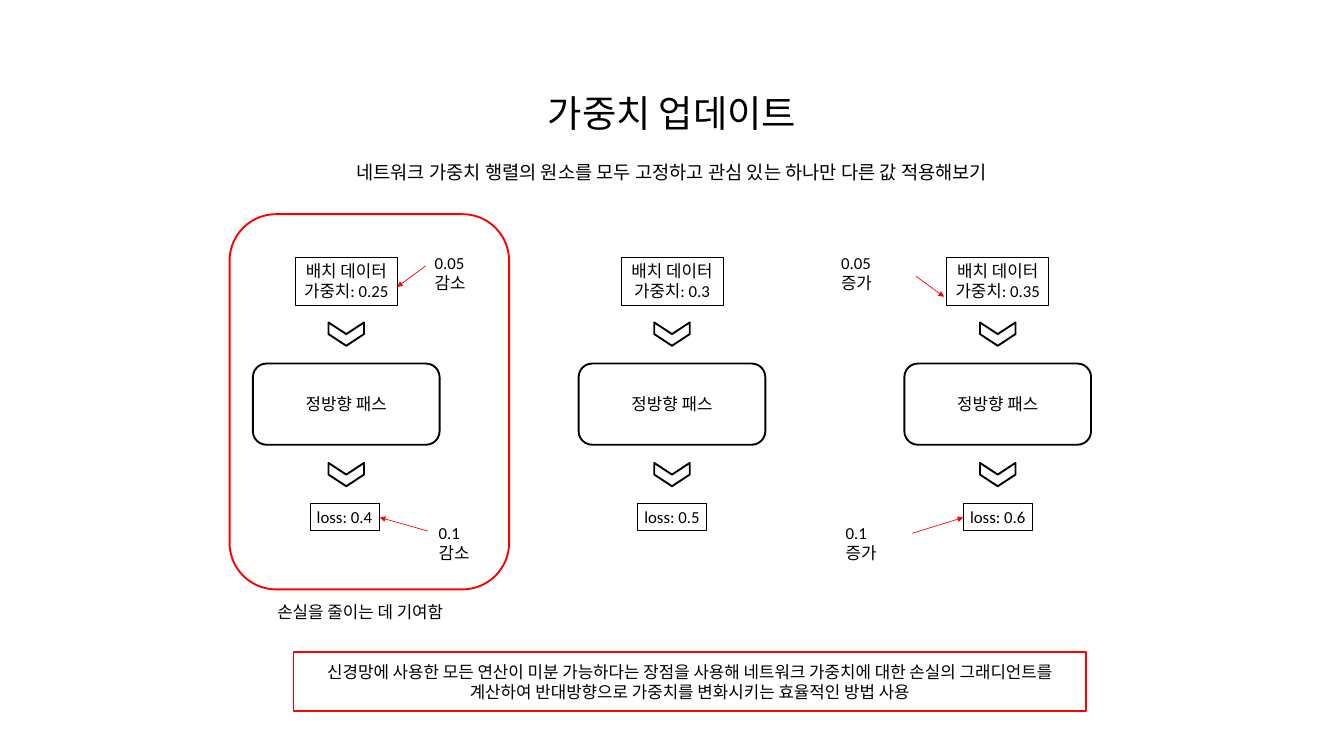
from pptx import Presentation
from pptx.dml.color import RGBColor
from pptx.enum.shapes import MSO_CONNECTOR, MSO_SHAPE as Shape
from pptx.enum.text import MSO_ANCHOR as Anchor, PP_ALIGN as Align
from pptx.oxml.ns import qn
from pptx.util import Pt
from lxml import etree

BLACK = RGBColor(0x00, 0x00, 0x00)
RED = RGBColor(0xFF, 0x00, 0x00)


class Diagram:
    """Holds the text style and the slide being drawn."""

    body = {"name": "Calibri", "size": Pt(18)}

    def __init__(self, slide):
        self.slide = slide

    def fill_text(self, box, text, align=Align.CENTER, anchor=Anchor.TOP,
                  wrap=True, **style):
        frame = box.text_frame
        frame.text = text
        frame.word_wrap = wrap
        frame.vertical_anchor = anchor
        for paragraph in frame.paragraphs:
            paragraph.alignment = align
            for run in paragraph.runs:
                for key, value in {**self.body, **style}.items():
                    setattr(run.font, key, value)
                run.font.color.rgb = BLACK

    def label(self, left, top, width, height, text, **style):
        box = self.slide.shapes.add_textbox(
            Pt(left), Pt(top), Pt(width), Pt(height))
        self.fill_text(box, text, **style)

    def outline(self, kind, left, top, width, height, color=BLACK, weight=2):
        shape = self.slide.shapes.add_shape(
            kind, Pt(left), Pt(top), Pt(width), Pt(height))
        shape.shadow.inherit = False
        shape.fill.background()
        shape.line.color.rgb = color
        shape.line.width = Pt(weight)
        return shape

    def centred(self, kind, center, top, width, height, text, weight, **style):
        shape = self.outline(kind, center - width / 2, top, width, height,
                             weight=weight)
        self.fill_text(shape, text, **style)

    def chevron(self, center, middle, width=25, height=38):
        shape = self.outline(Shape.CHEVRON, center - width / 2,
                             middle - height / 2, width, height)
        shape.rotation = 90

    def arrow(self, x1, y1, x2, y2):
        connector = self.slide.shapes.add_connector(
            MSO_CONNECTOR.STRAIGHT, Pt(x1), Pt(y1), Pt(x2), Pt(y2))
        connector.line.color.rgb = RED
        connector.line.width = Pt(0.75)
        properties = connector._element.spPr
        etree.SubElement(properties.find(qn("a:ln")), qn("a:tailEnd"),
                         type="triangle")
        etree.SubElement(properties, qn("a:effectLst"))


def main():
    deck = Presentation()
    deck.slide_width, deck.slide_height = Pt(1440), Pt(810)
    diagram = Diagram(deck.slides.add_slide(deck.slide_layouts[6]))

    # Title and subtitle
    diagram.label(70, 93, 1300, 55.5, "가중치 업데이트",
                  name="Arial", size=Pt(40))
    diagram.label(285, 168.5, 870, 31.5,
                  "네트워크 가중치 행렬의 원소를 모두 고정하고 "
                  "관심 있는 하나만 다른 값 적용해보기", size=Pt(20))

    # Three passes: weight, loss, centre of the loss box
    passes = [("0.25", "0.4", 369), ("0.3", "0.5", 720), ("0.35", "0.6", 1069)]
    for column, (weight, loss, loss_center) in enumerate(passes):
        center = 371 + 349 * column
        diagram.centred(Shape.ROUNDED_RECTANGLE, center, 389.5, 200, 87,
                        "정방향 패스", 2, anchor=Anchor.MIDDLE)
        diagram.centred(Shape.RECTANGLE, center, 276, 109.5, 51,
                        f"배치 데이터\n가중치: {weight}", 0.75)
        diagram.centred(Shape.RECTANGLE, loss_center, 539, 74, 29,
                        f"loss: {loss}", 0.75, wrap=False)
        for middle in (358, 508.5):
            diagram.chevron(center, middle)

    # Changes in weight and loss, with their arrows
    changes = [
        (458.5, 267, 87, "0.05\v감소", (456, 285, 425.5, 307.5)),
        (894, 267, 87, "0.05\v증가", (981.5, 296, 1011.5, 318)),
        (463, 556.5, 78, "0.1\v감소", (458.5, 569, 407, 554.5)),
        (899, 556.5, 78, "0.1\v증가", (977, 571.5, 1032, 554.5)),
    ]
    for left, top, width, change, ends in changes:
        diagram.label(left, top, width, 29, change, align=Align.LEFT)
        diagram.arrow(*ends)

    # Highlight of the helpful change
    diagram.outline(Shape.ROUNDED_RECTANGLE, 246, 229.5, 299.5, 402, RED)
    diagram.label(290, 641, 209, 29, "손실을 줄이는 데 기여함",
                  align=Align.LEFT, wrap=False)

    # Conclusion
    conclusion = diagram.outline(Shape.RECTANGLE, 314.5, 699, 849, 62.5, RED)
    diagram.fill_text(conclusion,
                      "신경망에 사용한 모든 연산이 미분 가능하다는 장점을 사용해 "
                      "네트워크 가중치에 대한 손실의 그래디언트를 계산하여 "
                      "반대방향으로 가중치를 변화시키는 효율적인 방법 사용",
                      anchor=Anchor.MIDDLE)

    deck.save("out.pptx")


if __name__ == "__main__":
    main()
